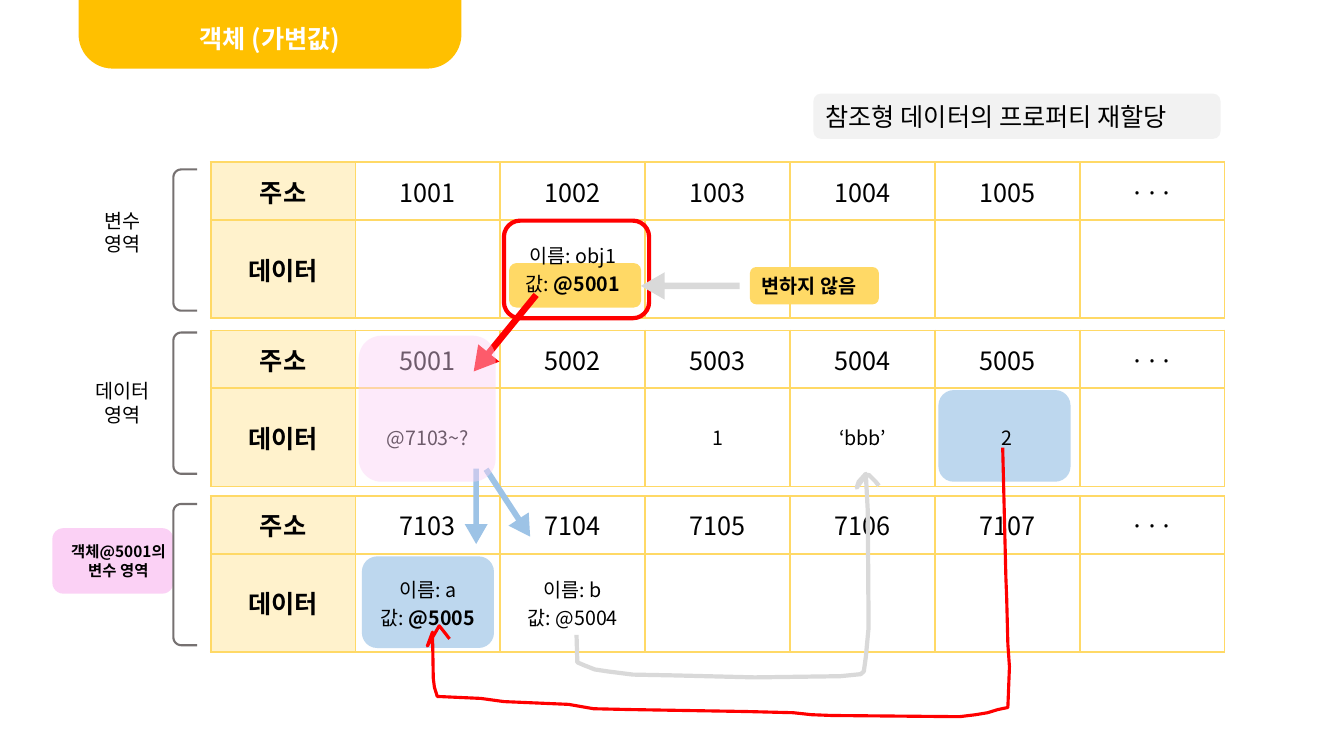
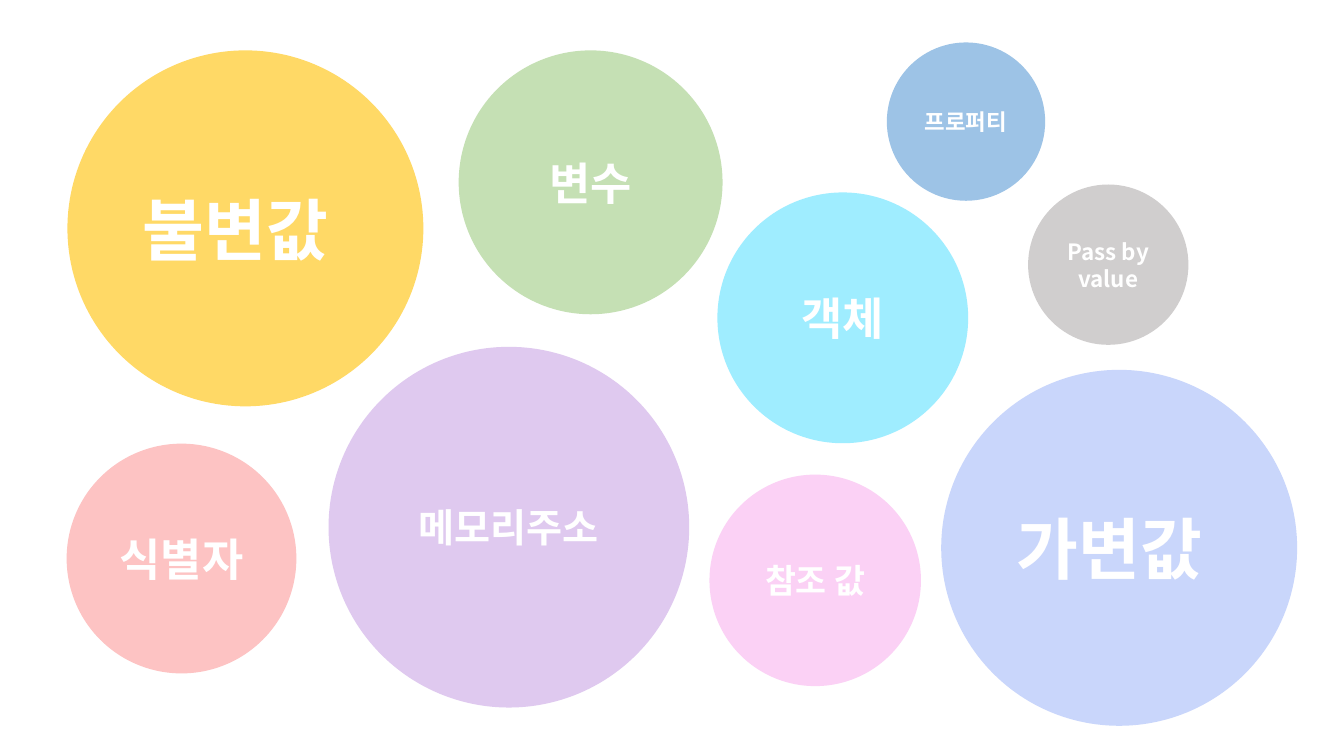
from math import cos, pi, sin

from lxml import etree
from pptx import Presentation
from pptx.dml.color import RGBColor
from pptx.enum.shapes import MSO_SHAPE
from pptx.enum.text import MSO_ANCHOR, MSO_AUTO_SIZE, PP_ALIGN
from pptx.oxml.ns import qn
from pptx.util import Cm, Pt

ROUND, ARROW, OVAL = MSO_SHAPE.ROUNDED_RECTANGLE, MSO_SHAPE.RIGHT_ARROW, MSO_SHAPE.OVAL
TAB = MSO_SHAPE.ROUND_2_SAME_RECTANGLE
LEFT, CENTER = PP_ALIGN.LEFT, PP_ALIGN.CENTER
MIDDLE, NO_FIT = MSO_ANCHOR.MIDDLE, MSO_AUTO_SIZE.NONE

FONT = "Noto Sans CJK KR"
BLACK, WHITE, RED = "000000", "FFFFFF", "FF0000"
AMBER, YELLOW, CREAM = "FFC000", "FFD966", "FFF2CC"
PINK, SKY, BLUE = "FBD1F5", "BDD7EE", "9DC3E6"
SILVER, PALE, SLATE = "D9D9D9", "F2F2F2", "767171"

TITLE = "객체 (가변값)"
HEADING = "참조형 데이터의 프로퍼티 재할당"
NOTE = "변하지 않음"

TABLE_LEFT, COL_WIDTH, ROW_HEIGHTS = 5.31, 3.65, (1.45, 2.48)
BRACKET_LEFT, BRACKET_WIDTH, BRACKET_HEIGHT, BRACKET_RADIUS = 4.37, 0.6, 3.56, 0.2

REGIONS = [
    dict(top=4.09, bracket=4.27, label="변수\n영역", size=14, bold=False, fill=None,
         box=(1.9, 5.13, 2.1, 1.45), first=1001,
         data=["", "이름: obj1\n값: |@5001", "", "", ""]),
    dict(top=8.33, bracket=8.38, label="데이터\n영역", size=14, bold=False, fill=None,
         box=(1.9, 9.42, 2.1, 1.45), first=5001,
         data=["@7103~?", "", "1", "‘bbb’", "2"]),
    dict(top=12.5, bracket=12.7, label="객체@5001의\n변수 영역", size=11, bold=True, fill=PINK,
         box=(1.32, 13.31, 3.05, 1.65), first=7103,
         data=["이름: a\n값: |@5005", "이름: b\n값: @5004", "", "", ""]),
]

HIGHLIGHTS = [
    ((9.12, 14.02, 3.33, 2.31), SKY),
    ((23.65, 9.83, 3.33, 2.31), SKY),
    ((12.83, 6.63, 3.33, 1.12), YELLOW),
]
REFERENCE_ARROWS = [
    ((11.48, 8.05, 2.49, 0.69), 129.2, RED),
    ((11.05, 12.47, 1.9, 0.58), 90, BLUE),
    ((11.79, 12.37, 2.03, 0.61), 56.8, BLUE),
]
NOTE_ARROW = ((16.15, 6.86, 2.49, 0.69), 180, SILVER)

OLD_VALUE_TRAIL = [
    (14.53, 16), (14.55, 16.69), (14.71, 16.76), (14.99, 16.87), (15.32, 16.92),
    (15.95, 17), (16.99, 17.02), (19.02, 17.07), (21.18, 17.04), (21.69, 16.99),
    (21.77, 16.92), (21.82, 16.56), (21.89, 15.82), (21.87, 12.88), (21.82, 11.94),
    (21.64, 12.14), (21.59, 12.29), (21.77, 12.04), (21.89, 11.96), (22.07, 12.14),
    (22.15, 12.24),
]
NEW_VALUE_TRAIL = [
    (25.27, 11.28), (25.35, 14.55), (25.37, 15.06), (25.4, 16.23), (25.44, 16.8),
    (25.4, 17.83), (25.15, 17.88), (24.89, 17.96), (24.59, 18.01), (24.18, 18.06),
    (20.96, 18.03), (20.45, 18.01), (19.99, 17.96), (18.8, 17.93), (15.85, 17.88),
    (14.96, 17.86), (14.33, 17.75), (12.7, 17.68), (12.12, 17.6), (11.02, 17.55),
    (10.95, 17.32), (10.92, 17.09), (10.9, 15.93), (10.77, 16.28), (10.95, 15.98),
    (11.07, 15.77), (11.2, 15.93), (11.33, 16.1),
]

CIRCLES = [
    ("불변값", 1.7, 1.27, 8.97, 48, YELLOW),
    ("가변값", 23.72, 9.32, 8.97, 48, "C9D6FB"),
    ("변수", 11.56, 1.27, 6.65, 32, "C5E0B4"),
    ("객체", 18.08, 4.85, 6.32, 32, "9FEDFF"),
    ("참조 값", 17.88, 11.96, 5.33, 24, PINK),
    ("메모리주소", 8.28, 8.74, 9.09, 28, "DFC9EF"),
    ("프로퍼티", 22.35, 1.07, 3.99, 16, BLUE),
    ("식별자", 1.68, 11.18, 5.79, 32, "FDC3C3"),
    ("Pass by value", 25.91, 4.65, 4.04, 16, "D0CECE"),
]


def rgb(value):
    return RGBColor.from_string(value)


def cms(values):
    return [Cm(v) for v in values]


def write(tf, text, size, color=BLACK, bold=False, align=CENTER):
    for i, line in enumerate(text.split("\n")):
        p = tf.paragraphs[0] if i == 0 else tf.add_paragraph()
        p.alignment = align
        for j, part in enumerate(line.split("|")):
            r = p.add_run()
            r.text = part
            r.font.size, r.font.bold, r.font.name = Pt(size), bold or j > 0, FONT
            r.font.color.rgb = rgb(color)
            etree.SubElement(r.font._element, qn("a:ea"), typeface=FONT)


def style(sp, fill=None, line=None, width=1.5):
    sp.shadow.inherit = False
    if fill:
        sp.fill.solid()
        sp.fill.fore_color.rgb = rgb(fill)
    else:
        sp.fill.background()
    if line:
        sp.line.color.rgb = rgb(line)
        sp.line.width = Pt(width)
    else:
        sp.line.fill.background()


def add_shape(s, kind, box, fill=None, line=None, width=1.5):
    sp = s.shapes.add_shape(kind, *cms(box))
    style(sp, fill, line, width)
    return sp


def add_box(s, box, fill, text, size, bold=False):
    sp = add_shape(s, ROUND, box, fill)
    sp.text_frame.vertical_anchor = MIDDLE
    write(sp.text_frame, text, size, bold=bold, align=LEFT)


def add_arrow(s, box, rotation, fill):
    sp = add_shape(s, ARROW, box, fill)
    sp.adjustments[0], sp.adjustments[1] = 0.24, 0.87
    sp.rotation = rotation


def add_trail(s, points, color, width):
    start, *rest = [tuple(cms(point)) for point in points]
    builder = s.shapes.build_freeform(*start)
    builder.add_line_segments(rest, close=False)
    style(builder.convert_to_shape(), line=color, width=width)


def add_bracket(s, top):
    left, radius = BRACKET_LEFT, BRACKET_RADIUS
    right, bottom = left + BRACKET_WIDTH, top + BRACKET_HEIGHT
    angles = [pi / 2 * k / 6 for k in range(7)]
    upper = [(left + radius * (1 - sin(a)), top + radius * (1 - cos(a))) for a in angles]
    lower = [(x, top + bottom - y) for x, y in reversed(upper)]
    add_trail(s, [(right, top), *upper, *lower, (right, bottom)], SLATE, 1.5)


def add_borders(cell):
    tc_pr = cell._tc.get_or_add_tcPr()
    for side in ("lnL", "lnR", "lnT", "lnB"):
        ln = etree.SubElement(tc_pr, qn(f"a:{side}"), w=str(Pt(1.5)))
        solid = etree.SubElement(ln, qn("a:solidFill"))
        etree.SubElement(solid, qn("a:srgbClr"), val=YELLOW)


def add_memory_table(s, region):
    addresses = [str(region["first"] + k) for k in range(5)]
    rows = [["주소", *addresses, "···"], ["데이터", *region["data"], ""]]
    cols = len(rows[0])
    box = (TABLE_LEFT, region["top"], COL_WIDTH * cols, sum(ROW_HEIGHTS))
    table = s.shapes.add_table(len(rows), cols, *cms(box)).table
    table.first_row = table.horz_banding = False
    for col in table.columns:
        col.width = Cm(COL_WIDTH)
    for i, texts in enumerate(rows):
        table.rows[i].height = Cm(ROW_HEIGHTS[i])
        for j, text in enumerate(texts):
            cell = table.cell(i, j)
            cell.vertical_anchor = MIDDLE
            add_borders(cell)
            if j == 0:
                cell.fill.solid()
                cell.fill.fore_color.rgb = rgb(CREAM)
            else:
                cell.fill.background()
            if text:
                write(cell.text_frame, text, 14 if i and j else 18, bold=j == 0)


def add_label(s, region):
    sp = add_shape(s, ROUND, region["box"], region["fill"])
    tf = sp.text_frame
    tf.word_wrap = False
    tf.vertical_anchor = MIDDLE
    tf.margin_left, tf.margin_right = Cm(0.28), Cm(0)
    write(tf, region["label"], region["size"], bold=region["bold"])


def add_title(s):
    tab = add_shape(s, TAB, (1.98, 0, 9.65, 1.73), AMBER)
    tab.adjustments[0], tab.adjustments[1] = 0, 0.5
    title = s.shapes.title
    title.left, title.top, title.width, title.height = cms((1.98, 0.1, 9.65, 1.73))
    title.text_frame.auto_size = NO_FIT
    title.text_frame.vertical_anchor = MIDDLE
    write(title.text_frame, TITLE, 18, WHITE, True)
    s.shapes._spTree.append(title._element)


def build_memory_slide(prs):
    s = prs.slides.add_slide(prs.slide_layouts[5])
    for box, fill in HIGHLIGHTS:
        add_shape(s, ROUND, box, fill)
    for region in REGIONS:
        add_label(s, region)
        add_bracket(s, region["bracket"])
        add_memory_table(s, region)
    for arrow in REFERENCE_ARROWS:
        add_arrow(s, *arrow)
    veil = add_shape(s, ROUND, (9.04, 8.46, 3.45, 3.68), PINK)
    color = veil._element.spPr.find(qn("a:solidFill"))[0]
    etree.SubElement(color, qn("a:alpha"), val="44000")
    add_trail(s, OLD_VALUE_TRAIL, SILVER, 3)
    add_shape(s, ROUND, (12.7, 5.56, 3.66, 2.46), line=RED, width=3)
    add_box(s, (18.9, 6.73, 3.25, 0.94), YELLOW, NOTE, 14, True)
    add_arrow(s, *NOTE_ARROW)
    add_trail(s, NEW_VALUE_TRAIL, RED, 2.25)
    add_title(s)
    add_box(s, (20.5, 2.36, 10.26, 1.14), PALE, HEADING, 18)


def build_keyword_slide(prs):
    s = prs.slides.add_slide(prs.slide_layouts[6])
    for text, left, top, diameter, size, fill in CIRCLES:
        sp = add_shape(s, OVAL, (left, top, diameter, diameter), fill)
        tf = sp.text_frame
        tf.word_wrap = True
        tf.vertical_anchor = MIDDLE
        if size == 48:
            tf.margin_right = Cm(0.75)
        write(tf, text, size, WHITE, True)


def main():
    prs = Presentation()
    prs.slide_width, prs.slide_height = Cm(33.87), Cm(19.05)
    build_memory_slide(prs)
    build_keyword_slide(prs)
    prs.save("out.pptx")


if __name__ == "__main__":
    main()
